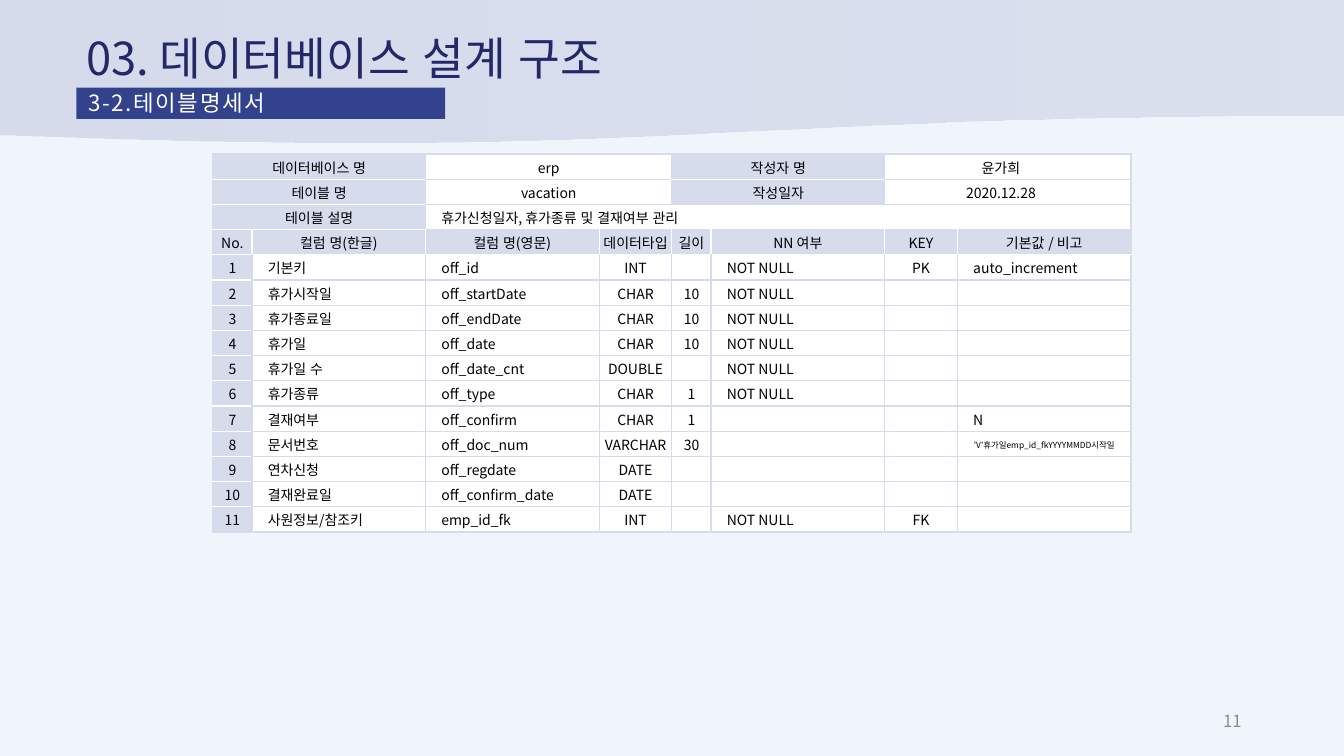
import pptx
import pptx.dml.color
import pptx.enum.shapes
import pptx.enum.text
import pptx.oxml.ns
import pptx.util
from lxml import etree

Pt = pptx.util.Pt
qn = pptx.oxml.ns.qn
ALIGN = pptx.enum.text.PP_ALIGN
ANCHOR = pptx.enum.text.MSO_ANCHOR
SHAPE = pptx.enum.shapes.MSO_SHAPE

COLUMN_WIDTHS = [28, 124, 124, 52, 28, 124, 52, 124]
ROW_HEIGHT = 18
HEADER_ROW = 3
INDENTED_COLUMNS = {1, 2, 5, 7}

# Top block: (row, first column, columns spanned, text)
SUMMARY = [
    (0, 0, 2, "데이터베이스 명"), (0, 2, 2, "erp"),
    (0, 4, 2, "작성자 명"), (0, 6, 2, "윤가희　"),
    (1, 0, 2, "테이블 명"), (1, 2, 2, "vacation"),
    (1, 4, 2, "작성일자"), (1, 6, 2, "2020.12.28　"),
    (2, 0, 2, "테이블 설명"), (2, 2, 6, "휴가신청일자, 휴가종류 및 결재여부 관리"),
]
HEADINGS = ["No.", "컬럼 명(한글)", "컬럼 명(영문)", "데이터타입", "길이",
            "NN 여부", "KEY", "기본값 / 비고"]
NUMBERING_NOTE = "'V'휴가일emp_id_fkYYYYMMDD시작일"
FIELDS = [
    ["기본키", "off_id", "INT", "", "NOT NULL", "PK", "auto_increment"],
    ["휴가시작일", "off_startDate", "CHAR", "10", "NOT NULL", "", ""],
    ["휴가종료일", "off_endDate", "CHAR", "10", "NOT NULL", "", ""],
    ["휴가일", "off_date", "CHAR", "10", "NOT NULL", "", ""],
    ["휴가일 수", "off_date_cnt", "DOUBLE", "", "NOT NULL", "", ""],
    ["휴가종류", "off_type", "CHAR", "1", "NOT NULL", "", ""],
    ["결재여부", "off_confirm", "CHAR", "1", "", "", "N"],
    ["문서번호", "off_doc_num", "VARCHAR", "30", "", "", NUMBERING_NOTE],
    ["연차신청", "off_regdate", "DATE", "", "", "", ""],
    ["결재완료일", "off_confirm_date", "DATE", "", "", "", ""],
    ["사원정보/참조키", "emp_id_fk", "INT", "", "NOT NULL", "FK", ""],
]
ROW_COUNT = HEADER_ROW + 1 + len(FIELDS)
COLUMN_COUNT = len(COLUMN_WIDTHS)


def color(value):
    return pptx.dml.color.RGBColor.from_string(value)


def is_label(row, column):
    """Tell whether the cell belongs to the tinted label area."""
    if not (0 <= row < ROW_COUNT and 0 <= column < COLUMN_COUNT):
        return False
    if row < HEADER_ROW:
        return column < 2 or (row < 2 and column in (4, 5))
    return row == HEADER_ROW or column == 0


class SlideBuilder:
    FONT = "Noto Sans CJK KR"
    TINT = "D6DCEC"
    WHITE = "FFFFFF"

    def __init__(self, slide):
        self.slide = slide

    def background(self, fill):
        self.slide.background.fill.solid()
        self.slide.background.fill.fore_color.rgb = color(fill)

    def add_text(self, paragraph, text, size, ink, align=ALIGN.LEFT, spacing=0):
        paragraph.alignment = align
        run = paragraph.add_run()
        run.text = text
        run.font.size = Pt(size)
        run.font.name = self.FONT
        run.font.color.rgb = color(ink)
        properties = run.font._element
        properties.set("lang", "ko-KR")
        if spacing:
            properties.set("spc", str(round(spacing * 100)))
        etree.SubElement(properties, qn("a:ea"), typeface=self.FONT)

    def text(self, left, top, width, height, text, size, ink, align=ALIGN.LEFT):
        box = self.slide.shapes.add_textbox(Pt(left), Pt(top), Pt(width), Pt(height))
        box.text_frame.word_wrap = True
        box.text_frame.vertical_anchor = ANCHOR.MIDDLE
        self.add_text(box.text_frame.paragraphs[0], text, size, ink, align)

    def shape(self, kind, left, top, width, height):
        shape = self.slide.shapes.add_shape(kind, Pt(left), Pt(top), Pt(width), Pt(height))
        shape.shadow.inherit = False
        shape.line.fill.background()
        return shape

    def wave(self, width, height):
        wave = self.shape(SHAPE.FLOWCHART_DOCUMENT, 0, 0, width, height)
        wave.fill.gradient()
        wave.fill.gradient_angle = 0
        for stop in wave.fill.gradient_stops:
            stop.color.rgb = color(self.TINT)
        last_color = wave._element.spPr.findall(".//" + qn("a:srgbClr"))[-1]
        etree.SubElement(last_color, qn("a:alpha"), val="80000")

    def banner(self, left, top, width, height, text, fill):
        banner = self.shape(SHAPE.RECTANGLE, left, top, width, height)
        banner.fill.solid()
        banner.fill.fore_color.rgb = color(fill)
        frame = banner.text_frame
        frame.word_wrap = True
        frame.vertical_anchor = ANCHOR.TOP
        frame.margin_left = frame.margin_right = Pt(8.5)
        frame.margin_top, frame.margin_bottom = Pt(3), Pt(3.5)
        paragraph = frame.paragraphs[0]
        paragraph.line_spacing = 0.9
        self.add_text(paragraph, text, 16, self.WHITE, ALIGN.JUSTIFY, spacing=1.2)

    def borders(self, cell, row, column, span):
        label = is_label(row, column)
        neighbours = {"lnL": (row, column - 1), "lnR": (row, column + span),
                      "lnT": (row - 1, column), "lnB": (row + 1, column)}
        for side, neighbour in neighbours.items():
            below_header = {row, neighbour[0]} == {HEADER_ROW, HEADER_ROW + 1}
            light = below_header or (label and is_label(*neighbour))
            line = etree.SubElement(cell._tc.get_or_add_tcPr(), qn("a:" + side),
                                    w=str(Pt(1)))
            fill = etree.SubElement(line, qn("a:solidFill"))
            etree.SubElement(fill, qn("a:srgbClr"),
                             val=self.WHITE if light else self.TINT)

    def cell(self, table, row, column, text, span=1):
        cell = table.cell(row, column)
        if span > 1:
            cell.merge(table.cell(row, column + span - 1))
        label = is_label(row, column)
        self.borders(cell, row, column, span)
        cell.fill.solid()
        cell.fill.fore_color.rgb = color(self.TINT if label else self.WHITE)
        small = text == NUMBERING_NOTE
        description = row < HEADER_ROW and span > 2
        indented = description or (
            row > HEADER_ROW and column in INDENTED_COLUMNS and not small)
        cell.vertical_anchor = ANCHOR.MIDDLE
        cell.margin_left = Pt(11.3 if indented else 0.7)
        cell.margin_right = cell.margin_top = Pt(0.7)
        cell.margin_bottom = 0
        paragraph = cell.text_frame.paragraphs[0]
        if text:
            self.add_text(paragraph, text, 6 if small else 10, "000000",
                          ALIGN.LEFT if indented else ALIGN.CENTER)
        else:
            # Keeps an empty cell from stretching its row
            etree.SubElement(paragraph._p, qn("a:endParaRPr"), sz="1000")

    def specification(self, left, top):
        frame = self.slide.shapes.add_table(
            ROW_COUNT, COLUMN_COUNT, Pt(left), Pt(top),
            Pt(sum(COLUMN_WIDTHS)), Pt(ROW_HEIGHT * ROW_COUNT))
        table = frame.table
        table.first_row = table.horz_banding = False
        for column, width in zip(table.columns, COLUMN_WIDTHS):
            column.width = Pt(width)
        for row in table.rows:
            row.height = Pt(ROW_HEIGHT)
        for row, column, span, text in SUMMARY:
            self.cell(table, row, column, text, span)
        numbered = [[str(number), *field] for number, field in enumerate(FIELDS, 1)]
        for row, texts in enumerate([HEADINGS, *numbered], HEADER_ROW):
            for column, text in enumerate(texts):
                self.cell(table, row, column, text)


def main():
    presentation = pptx.Presentation()
    presentation.slide_width, presentation.slide_height = Pt(960), Pt(540)
    builder = SlideBuilder(presentation.slides.add_slide(presentation.slide_layouts[6]))

    # Backdrop and page number
    builder.background("EFF5FA")
    builder.wave(960, 103)
    builder.text(678, 500.4, 216, 28.8, "11", 12, "8C8C8C", ALIGN.RIGHT)

    # Table specification
    builder.specification(152, 110)

    # Title and section banner
    builder.text(54.5, 20.2, 615.6, 41.8, "03. 데이터베이스 설계 구조", 32.4, "232868")
    builder.banner(54.5, 62.6, 263.5, 22.3, "3-2.테이블명세서", "33428C")

    presentation.save("out.pptx")


if __name__ == "__main__":
    main()
